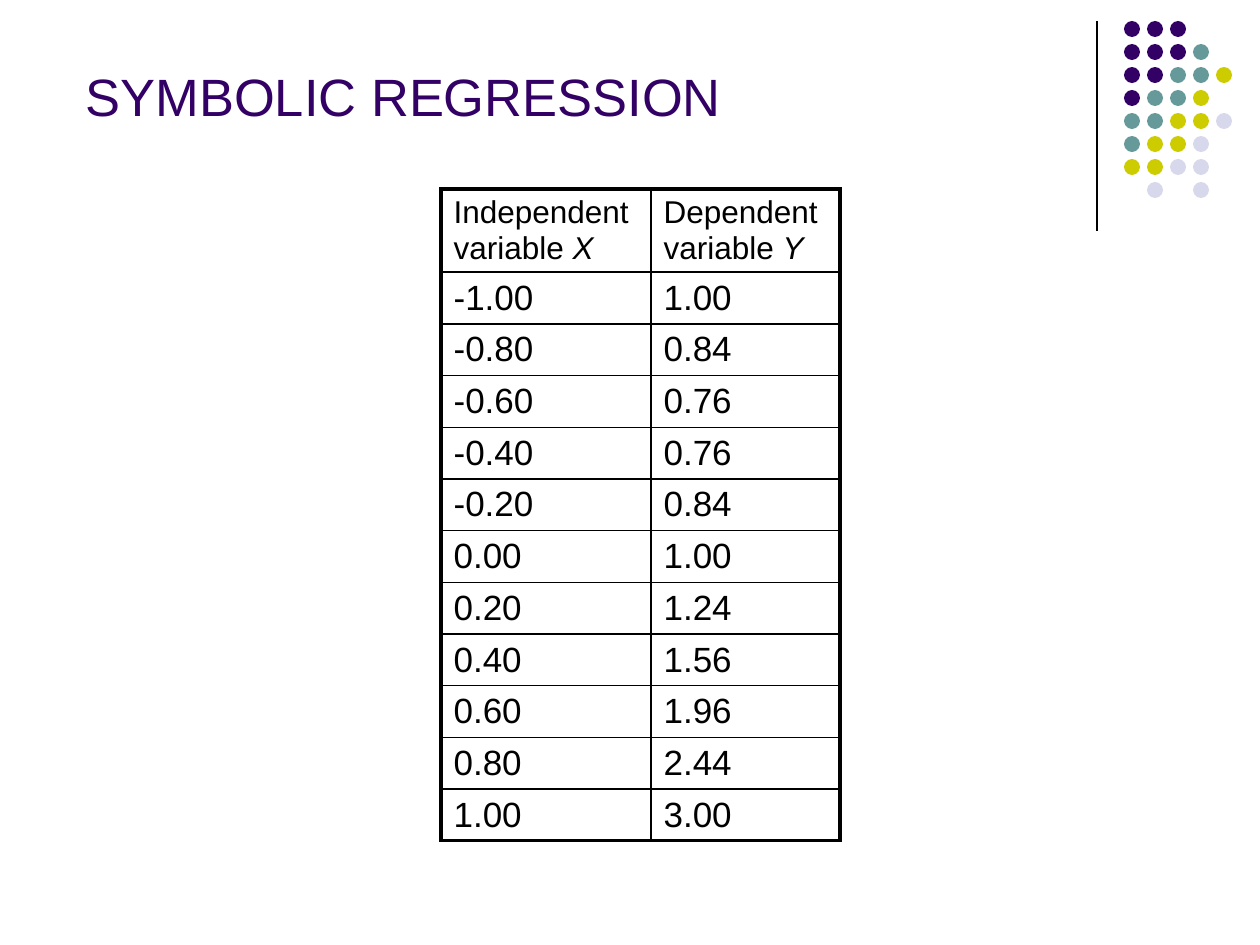
from pptx import Presentation
from pptx.dml.color import RGBColor
from pptx.enum.shapes import MSO_CONNECTOR, MSO_SHAPE
from pptx.enum.text import MSO_ANCHOR, MSO_AUTO_SIZE, PP_ALIGN
from pptx.oxml import parse_xml
from pptx.oxml.ns import nsdecls
from pptx.util import Emu, Pt

BLACK = RGBColor(0x00, 0x00, 0x00)
PURPLE = RGBColor(0x33, 0x00, 0x66)
TEAL = RGBColor(0x66, 0x99, 0x99)
LIME = RGBColor(0xCC, 0xCC, 0x00)
LAVENDER = RGBColor(0xD8, 0xD8, 0xEC)
FONT = "Arial"


def px(length):
    return Emu(round(length * 914400 / 126))


def set_border(cell, side, width):
    cell._tc.get_or_add_tcPr().append(parse_xml(
        f'<a:{side} {nsdecls("a")} w="{Pt(width)}"><a:solidFill>'
        f'<a:srgbClr val="{BLACK}"/></a:solidFill></a:{side}>'))


presentation = Presentation()
presentation.slide_width = px(1260)
presentation.slide_height = px(945)
slide = presentation.slides.add_slide(presentation.slide_layouts[5])

# Vertical rule
rule = slide.shapes.add_connector(
    MSO_CONNECTOR.STRAIGHT, px(1097), px(21), px(1097), px(231))
rule.line.color.rgb = BLACK
rule.line.width = Pt(0.75)
rule._element.spPr.append(parse_xml(f'<a:effectLst {nsdecls("a")}/>'))

# Dot pattern: one letter per dot, a blank leaves the place empty
DOT_COLORS = {"P": PURPLE, "T": TEAL, "L": LIME, "V": LAVENDER}
DOT_ROWS = ["PPP", "PPPT", "PPTTL", "PTTL", "TTLLV", "TLLV", "LLVV", " V V"]
DOT_PITCH, DOT_SIZE = 23, 16
for row, letters in enumerate(DOT_ROWS):
    for column, letter in enumerate(letters):
        if letter == " ":
            continue
        dot = slide.shapes.add_shape(
            MSO_SHAPE.OVAL, px(1124 + column * DOT_PITCH),
            px(21 + row * DOT_PITCH), px(DOT_SIZE), px(DOT_SIZE))
        dot.shadow.inherit = False
        dot.fill.solid()
        dot.fill.fore_color.rgb = DOT_COLORS[letter]
        dot.line.fill.background()

# Title
title = slide.shapes.title
title.left, title.top, title.width, title.height = px(73), px(29), px(1071), px(104)
title.text_frame.text = "SYMBOLIC REGRESSION"
title.text_frame.auto_size = MSO_AUTO_SIZE.NONE
title.text_frame.vertical_anchor = MSO_ANCHOR.BOTTOM
paragraph = title.text_frame.paragraphs[0]
paragraph.alignment = PP_ALIGN.LEFT
paragraph.font.name = FONT
paragraph.font.size = Pt(30)
paragraph.font.color.rgb = PURPLE

# Data table
HEADERS = [("Independent variable ", "X"), ("Dependent variable ", "Y")]
DATA = [
    ("-1.00", "1.00"), ("-0.80", "0.84"), ("-0.60", "0.76"), ("-0.40", "0.76"),
    ("-0.20", "0.84"), ("0.00", "1.00"), ("0.20", "1.24"), ("0.40", "1.56"),
    ("0.60", "1.96"), ("0.80", "2.44"), ("1.00", "3.00"),
]
rows = [HEADERS] + [[(value,) for value in pair] for pair in DATA]
last_row, last_column = len(rows) - 1, len(HEADERS) - 1
table = slide.shapes.add_table(
    len(rows), len(HEADERS), px(441), px(189), px(399), px(620)).table
table.first_row = False
table.horz_banding = False
for column, width in zip(table.columns, (210, 189)):
    column.width = px(width)

for row, texts in enumerate(rows):
    for column, parts in enumerate(texts):
        cell = table.cell(row, column)
        paragraph = cell.text_frame.paragraphs[0]
        paragraph.font.name = FONT
        paragraph.font.size = Pt(18 if row == 0 else 20)
        paragraph.font.color.rgb = BLACK
        for index, text in enumerate(parts):
            run = paragraph.add_run()
            run.text = text
            if index == 1:
                run.font.italic = True
        # Thick outer frame, thin inner lines
        outer_sides = {"lnL": column == 0, "lnR": column == last_column,
                       "lnT": row == 0, "lnB": row == last_row}
        for side, is_outer in outer_sides.items():
            set_border(cell, side, 2.25 if is_outer else 1)
        cell.fill.background()

presentation.save("out.pptx")
